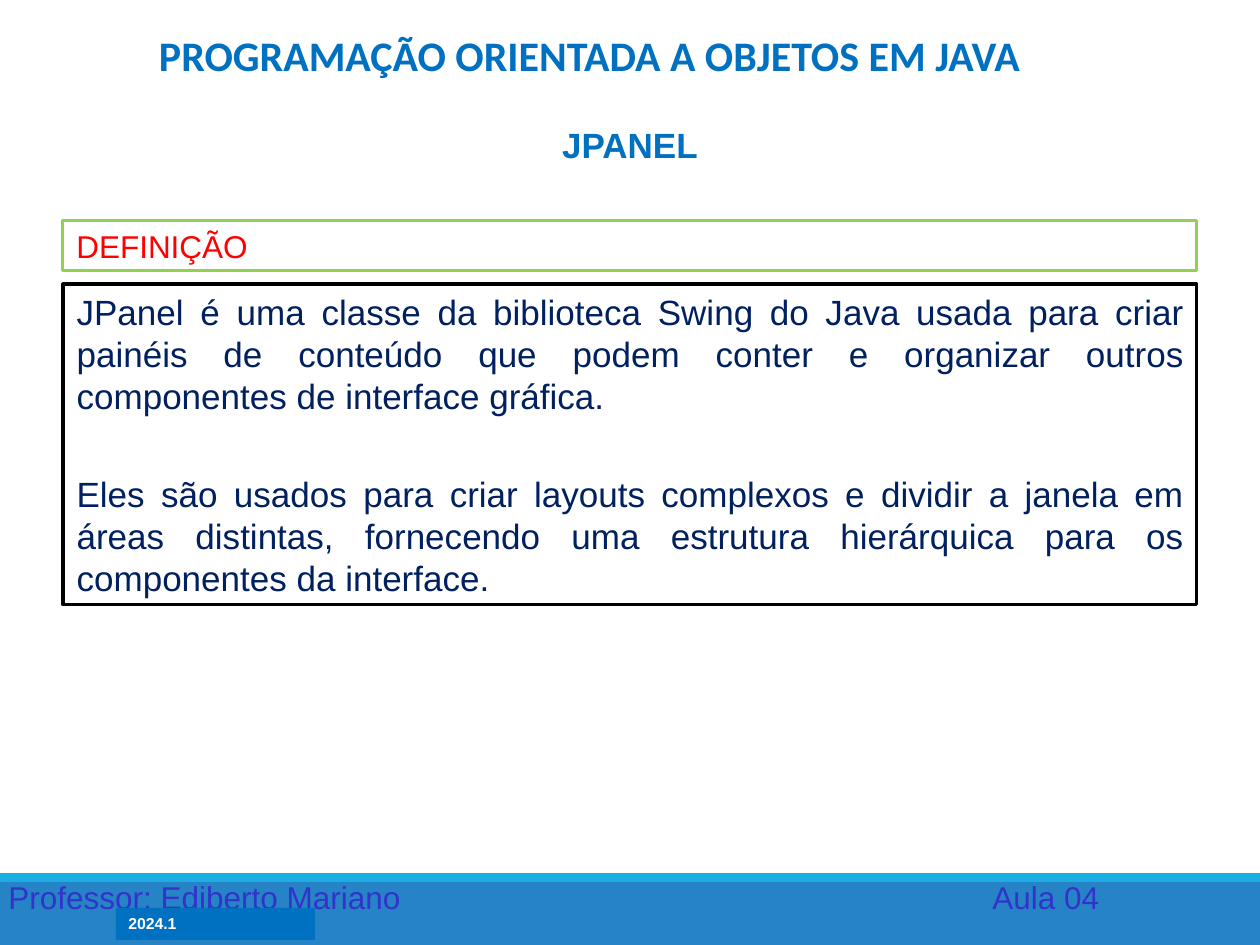
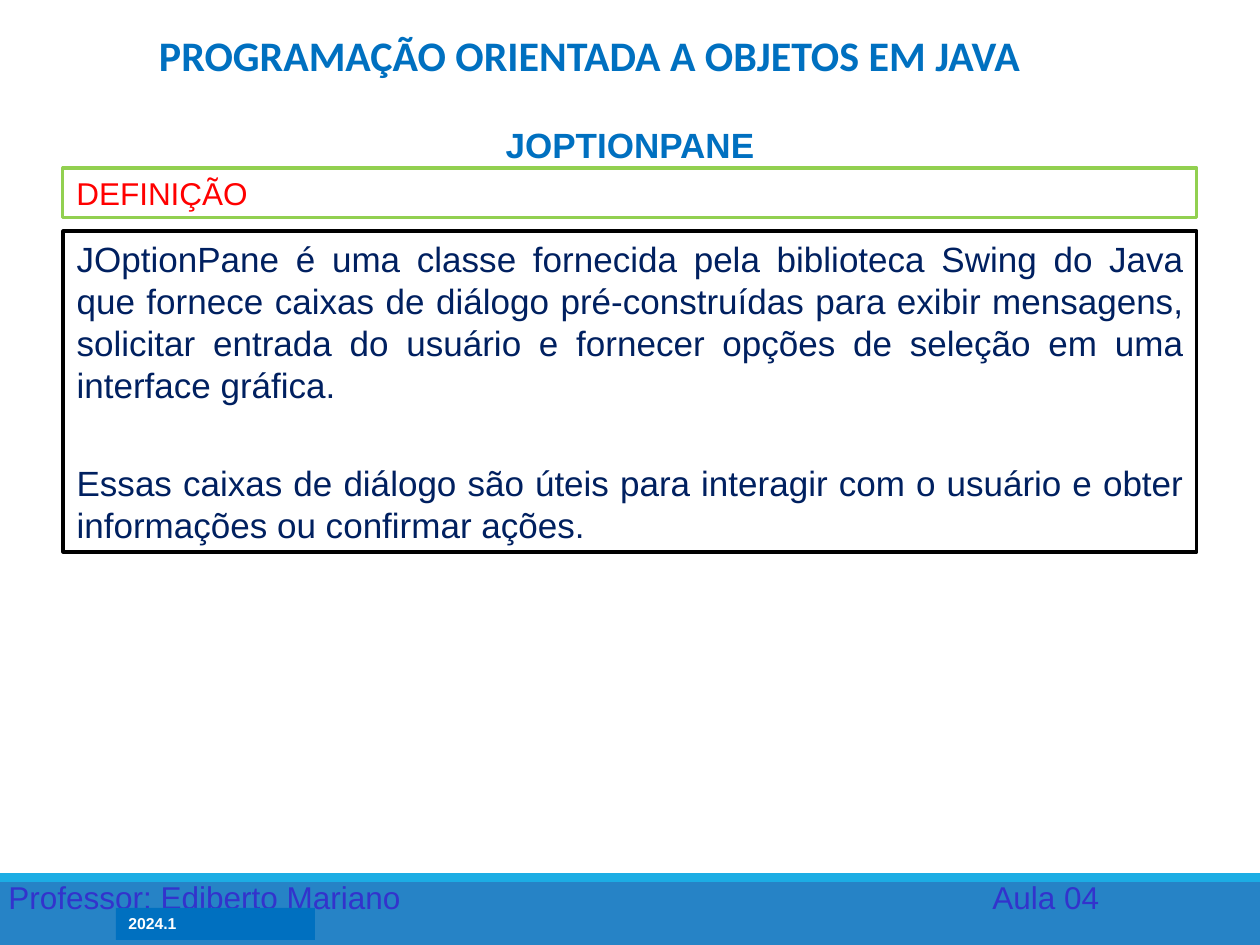
import pptx
import pptx.util
import pptx.dml.color
import pptx.enum.shapes
import pptx.enum.text
import pptx.oxml.ns
from lxml import etree

# Content
COURSE = "PROGRAMAÇÃO ORIENTADA A OBJETOS EM JAVA"
SECTION = "DEFINIÇÃO"
TEACHER = "Professor: Ediberto Mariano"
LESSON = "Aula 04"
TERM = "2024.1"
TOPICS = [
    {
        "topic": "JPANEL",
        "topic_height": 55,
        "section_top": 221,
        "definition": [
            "JPanel é uma classe da biblioteca Swing do Java usada para criar "
            "painéis de conteúdo que podem conter e organizar outros "
            "componentes de interface gráfica.",
            "Eles são usados para criar layouts complexos e dividir a janela em "
            "áreas distintas, fornecendo uma estrutura hierárquica para os "
            "componentes da interface.",
        ],
    },
    {
        "topic": "JOPTIONPANE",
        "topic_height": 115,
        "section_top": 168,
        "definition": [
            "JOptionPane é uma classe fornecida pela biblioteca Swing do Java "
            "que fornece caixas de diálogo pré-construídas para exibir "
            "mensagens, solicitar entrada do usuário e fornecer opções de "
            "seleção em uma interface gráfica.",
            "Essas caixas de diálogo são úteis para interagir com o usuário e "
            "obter informações ou confirmar ações.",
        ],
    },
]

# Shared style
WHITE, BLACK, BLUE, NAVY = "FFFFFF", "000000", "0070C0", "002060"
RED, GREEN, INDIGO = "FF0000", "92D050", "3333CC"
BAND, BAND_EDGE = "2683C6", "1CADE4"
WIDTH, HEIGHT = 1260, 945
BAND_TOP = 873
MARGIN = 63
PARAGRAPH_GAP = 32
ALIGN = pptx.enum.text.PP_ALIGN
ANCHOR = pptx.enum.text.MSO_ANCHOR


def px(length):
    return pptx.util.Emu(round(length * 914400 / 126))


def color(hex_value):
    return pptx.dml.color.RGBColor.from_string(hex_value)


def place(shape, left, top, width, height):
    shape.left, shape.top = px(left), px(top)
    shape.width, shape.height = px(width), px(height)


def paint(shape, fill, line=None):
    shape.fill.solid()
    shape.fill.fore_color.rgb = color(fill)
    if line:
        shape.line.color.rgb = color(line)
        shape.line.width = pptx.util.Pt(1.75)
    else:
        shape.line.fill.background()


def write(shape, paragraphs, size, ink, bold=False, align=ALIGN.LEFT,
          face="Arial", anchor=ANCHOR.TOP, indent=0):
    frame = shape.text_frame
    frame.word_wrap = True
    frame.auto_size = pptx.enum.text.MSO_AUTO_SIZE.NONE
    frame.vertical_anchor = anchor
    for number, text in enumerate(paragraphs):
        paragraph = frame.add_paragraph() if number else frame.paragraphs[0]
        paragraph.add_run().text = text
        paragraph.alignment = align
        paragraph.line_spacing = 1.0
        paragraph.space_before = pptx.util.Pt(PARAGRAPH_GAP if number else 0)
        # No bullet or hanging indent
        properties = paragraph._p.get_or_add_pPr()
        properties.set("marL", str(px(indent)))
        properties.set("indent", "0")
        etree.SubElement(properties, pptx.oxml.ns.qn("a:buNone"))
        font = paragraph.font
        font.name, font.size, font.bold = face, pptx.util.Pt(size), bold
        font.color.rgb = color(ink)


def add_box(slide, bounds, fill, line=None):
    box = slide.shapes.add_shape(
        pptx.enum.shapes.MSO_SHAPE.RECTANGLE, *map(px, bounds))
    box.shadow.inherit = False
    paint(box, fill, line)
    return box


def add_label(slide, bounds):
    return slide.shapes.add_textbox(*map(px, bounds))


def add_frame(slide):
    """Course title, bottom band and footer found on every slide."""
    place(slide.shapes.title, 130, 20, 919, 66)
    write(slide.shapes.title, [COURSE], 24, BLUE, True, ALIGN.CENTER,
          face="Calibri", anchor=ANCHOR.BOTTOM)
    add_box(slide, (0, BAND_TOP, WIDTH, HEIGHT - BAND_TOP), BAND)
    add_box(slide, (0, BAND_TOP, WIDTH, 9), BAND_EDGE)
    for text, left, width in ((TEACHER, -4, 500), (LESSON, 980, 150)):
        write(add_label(slide, (left, 872, width, 50)), [text], 18, INDIGO)
    write(add_box(slide, (116, 908, 199, 32), BLUE), [TERM], 9, WHITE, True)


def add_topic(slide, topic):
    """Topic heading, section strip and framed definition."""
    heading = add_label(slide, (84, 117, 1092, topic["topic_height"]))
    write(heading, [topic["topic"]], 20, BLUE, True, ALIGN.CENTER)
    top, inner = topic["section_top"], WIDTH - 2 * MARGIN
    section = add_box(slide, (MARGIN, top, inner, 50), WHITE, GREEN)
    write(section, [SECTION], 18, RED, align=ALIGN.JUSTIFY, indent=1)
    definition = slide.placeholders[1]
    place(definition, MARGIN, top + 63, inner, 321)
    paint(definition, WHITE, BLACK)
    write(definition, topic["definition"], 20, NAVY, align=ALIGN.JUSTIFY,
          indent=1)


def main():
    deck = pptx.Presentation()
    deck.slide_width, deck.slide_height = px(WIDTH), px(HEIGHT)
    for topic in TOPICS:
        slide = deck.slides.add_slide(deck.slide_layouts[1])
        add_frame(slide)
        add_topic(slide, topic)
    deck.save("out.pptx")


if __name__ == "__main__":
    main()
